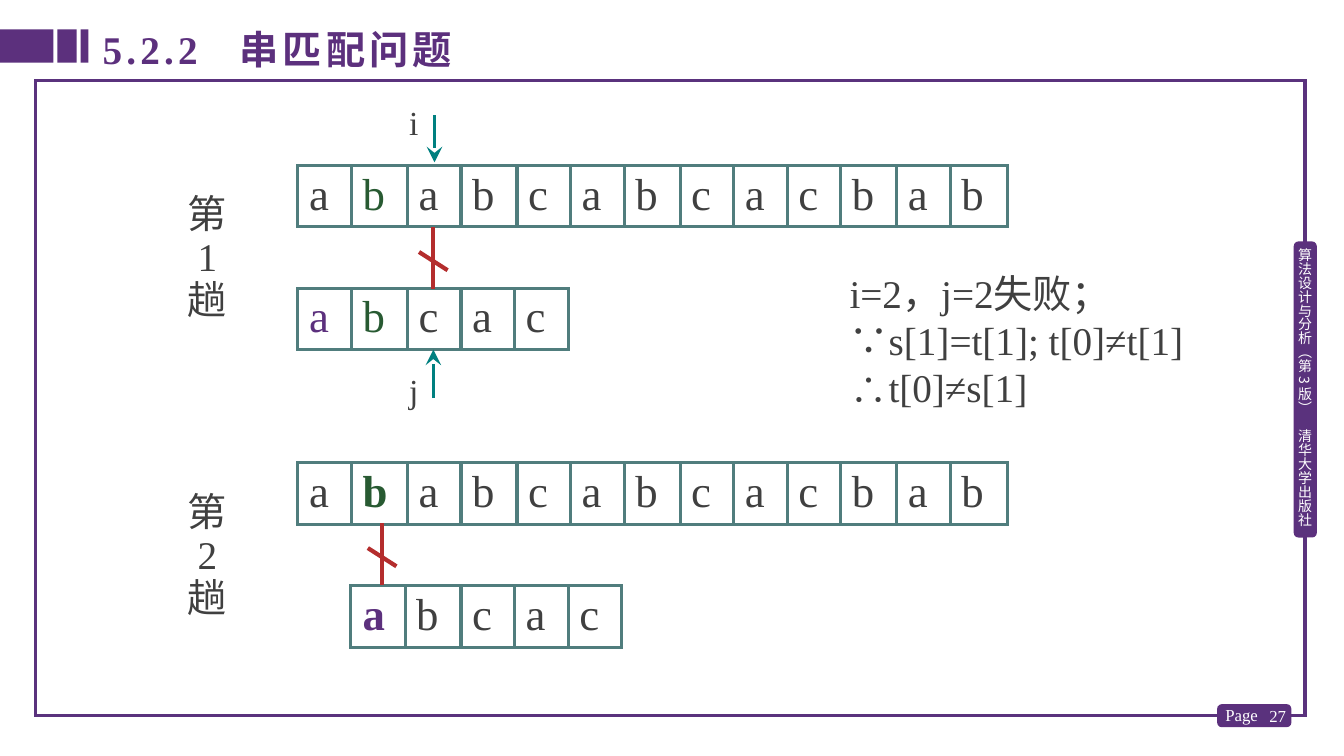
import pptx
import pptx.util
import pptx.dml.color
import pptx.enum.shapes
import pptx.enum.text
import pptx.oxml.ns
from lxml import etree

Cm = pptx.util.Cm
Pt = pptx.util.Pt
RGBColor = pptx.dml.color.RGBColor
Kind = pptx.enum.shapes.MSO_SHAPE
Align = pptx.enum.text.PP_ALIGN
Anchor = pptx.enum.text.MSO_ANCHOR
qn = pptx.oxml.ns.qn

PURPLE = RGBColor(0x5C, 0x30, 0x7D)
EDGE = RGBColor(0x5A, 0x32, 0x7D)
GREY = RGBColor(0x40, 0x40, 0x40)
GREEN = RGBColor(0x28, 0x5A, 0x32)
SLATE = RGBColor(0x50, 0x7D, 0x7D)
TEAL = RGBColor(0x00, 0x80, 0x80)
RED = RGBColor(0xB4, 0x2D, 0x2D)
WHITE = RGBColor(0xFF, 0xFF, 0xFF)
SERIF = "Times New Roman"
SANS = "Noto Sans CJK SC"

deck = pptx.Presentation()
deck.slide_width, deck.slide_height = Cm(33.87), Cm(19.05)
slide = deck.slides.add_slide(deck.slide_layouts[6])
shapes = slide.shapes


def add_box(kind, x, y, w, h, fill, edge, width):
    box = shapes.add_shape(kind, Cm(x), Cm(y), Cm(w), Cm(h))
    box.shadow.inherit = False
    if fill is None:
        box.fill.background()
    else:
        box.fill.solid()
        box.fill.fore_color.rgb = fill
    if edge is None:
        box.line.fill.background()
    else:
        box.line.color.rgb = edge
        box.line.width = Pt(width)
        etree.SubElement(box.line._get_or_add_ln(), qn("a:miter"), lim="800000")
    return box


def style(run, size, color, bold=False, face=SERIF):
    font = run.font
    font.size, font.bold, font.name = Pt(size), bold, face
    font.color.rgb = color
    etree.SubElement(run._r.get_or_add_rPr(), qn("a:ea"), typeface=SANS)


# Frame, title bars and tabs for page and book
for part in [
    (Kind.RECTANGLE, 0.89, 2.03, 32, 16, None, EDGE, 2.25),
    (Kind.ROUNDED_RECTANGLE, 30.71, 17.78, 1.8, 0.51, EDGE, PURPLE, 2),
    (Kind.ROUNDED_RECTANGLE, 32.64, 6.12, 0.51, 7.39, EDGE, PURPLE, 2),
    (Kind.RECTANGLE, 0, 0.74, 1.35, 0.84, PURPLE, None, 0),
    (Kind.RECTANGLE, 1.45, 0.74, 0.48, 0.84, PURPLE, None, 0),
    (Kind.RECTANGLE, 2.03, 0.74, 0.2, 0.84, PURPLE, None, 0),
]:
    add_box(*part)

# Letter strips: each cell is as wide as its letter needs
lines = []
for x, y, w, word, marks, bold in [
    (7.49, 4.17, 17.91, "ababcabcacbab", {1: GREEN}, None),
    (7.49, 7.26, 6.83, "abcac", {0: PURPLE, 1: GREEN}, None),
    (7.49, 11.66, 17.91, "ababcabcacbab", {1: GREEN}, 1),
    (8.84, 14.76, 6.83, "abcac", {0: PURPLE}, 0),
]:
    strip = add_box(Kind.RECTANGLE, x, y, w, 1.55, None, SLATE, 2.25)
    frame = strip.text_frame
    frame.vertical_anchor = Anchor.TOP
    frame.margin_left, frame.margin_right = Cm(0.3), Cm(0.05)
    frame.margin_top = frame.margin_bottom = 0
    para = frame.paragraphs[0]
    para.alignment = Align.LEFT
    tabs = etree.SubElement(para._p.get_or_add_pPr(), qn("a:tabLst"))
    stop = 0
    for n, char in enumerate(word):
        last = n == len(word) - 1
        run = para.add_run()
        run.text = char if last else char + "\t"
        style(run, 32, marks.get(n, GREY), n == bold)
        if not last:
            stop += 1.41 if char == "b" else 1.35
            etree.SubElement(tabs, qn("a:tab"), pos=str(Cm(stop)), algn="l")
            edge = x + stop + 0.02
            lines.append((edge, y, edge, y + 1.55, SLATE, 2.25, False))

# Mismatch marks and index arrows
for x, y in [(10.92, 5.72), (9.63, 13.18)]:
    lines.append((x, y, x, y + 1.56, RED, 3, False))
    lines.append((x - 0.36, y + 0.63, x + 0.36, y + 1.09, RED, 3, False))
lines.append((10.95, 2.9, 10.95, 4.09, TEAL, 2.25, True))
lines.append((10.92, 10.03, 10.92, 8.81, TEAL, 2.25, True))

for x1, y1, x2, y2, color, width, arrow in lines:
    line = shapes.add_connector(pptx.enum.shapes.MSO_CONNECTOR.STRAIGHT,
                                Cm(x1), Cm(y1), Cm(x2), Cm(y2))
    line.line.color.rgb = color
    line.line.width = Pt(width)
    if arrow:
        etree.SubElement(line.line._get_or_add_ln(), qn("a:tailEnd"),
                         type="stealth", w="lg", len="lg")
    etree.SubElement(line._element.spPr, qn("a:effectLst"))

# Texts
notes = {}
for name, x, y, w, h, text, size, color in [
    ("title", 2.34, 0.43, 21.97, 1.45, "5.2.2\t串匹配问题", 28, PURPLE),
    ("i", 10.31, 2.44, 0.64, 1.27, "i", 24, GREY),
    ("j", 10.31, 9.19, 0.64, 1.27, "j", 24, GREY),
    ("first", 4.45, 4.75, 1.8, 3.45, "第\n1\n趟", 28, GREY),
    ("second", 4.45, 12.27, 1.8, 3.45, "第\n2\n趟", 28, GREY),
    ("proof", 21.16, 6.66, 9.88, 3.84,
     "i=2，j=2失败； ∵s[1]=t[1]; t[0]≠t[1]\n∴t[0]≠s[1]", 28, GREY),
    ("page", 30.63, 17.63, 1.35, 0.79, "Page", 12, WHITE),
    ("count", 31.62, 17.53, 1.04, 1.02, "27", 12, WHITE),
    ("book", 32.66, 6.25, 0.43, 7.2,
     "算法设计与分析（第 3 版）　清华大学出版社", 10, WHITE),
]:
    frame = shapes.add_textbox(Cm(x), Cm(y), Cm(w), Cm(h)).text_frame
    frame.word_wrap = True
    frame.text = text
    for para in frame.paragraphs:
        for run in para.runs:
            style(run, size, color, name == "title", SANS if name == "book" else SERIF)
    notes[name] = frame

# Title: letter spacing and a tab after the number
head = notes["title"].paragraphs[0]
tabs = etree.SubElement(head._p.get_or_add_pPr(), qn("a:tabLst"))
etree.SubElement(tabs, qn("a:tab"), pos=str(Cm(3.45)), algn="l")
for run in head.runs:
    run._r.get_or_add_rPr().set("spc", "300")

# Line pitch of the large texts
for name, pitch in [("title", 36), ("first", 30.7), ("second", 30.7), ("proof", 33.6)]:
    for para in notes[name].paragraphs:
        para.line_spacing = Pt(pitch)

# Index letters and round labels
for name in ("i", "j"):
    notes[name].margin_left = notes[name].margin_right = 0
for name in ("first", "second"):
    notes[name].margin_right = Cm(0.5)
    for para in notes[name].paragraphs:
        para.alignment = Align.CENTER

# Page number and vertical book name
notes["count"].vertical_anchor = Anchor.MIDDLE
notes["count"].paragraphs[0].alignment = Align.RIGHT
book = notes["book"]
book.margin_left = book.margin_right = book.margin_top = book.margin_bottom = 0
book.paragraphs[0].alignment = Align.CENTER
book._txBody.bodyPr.set("vert", "eaVert")

deck.save("out.pptx")
